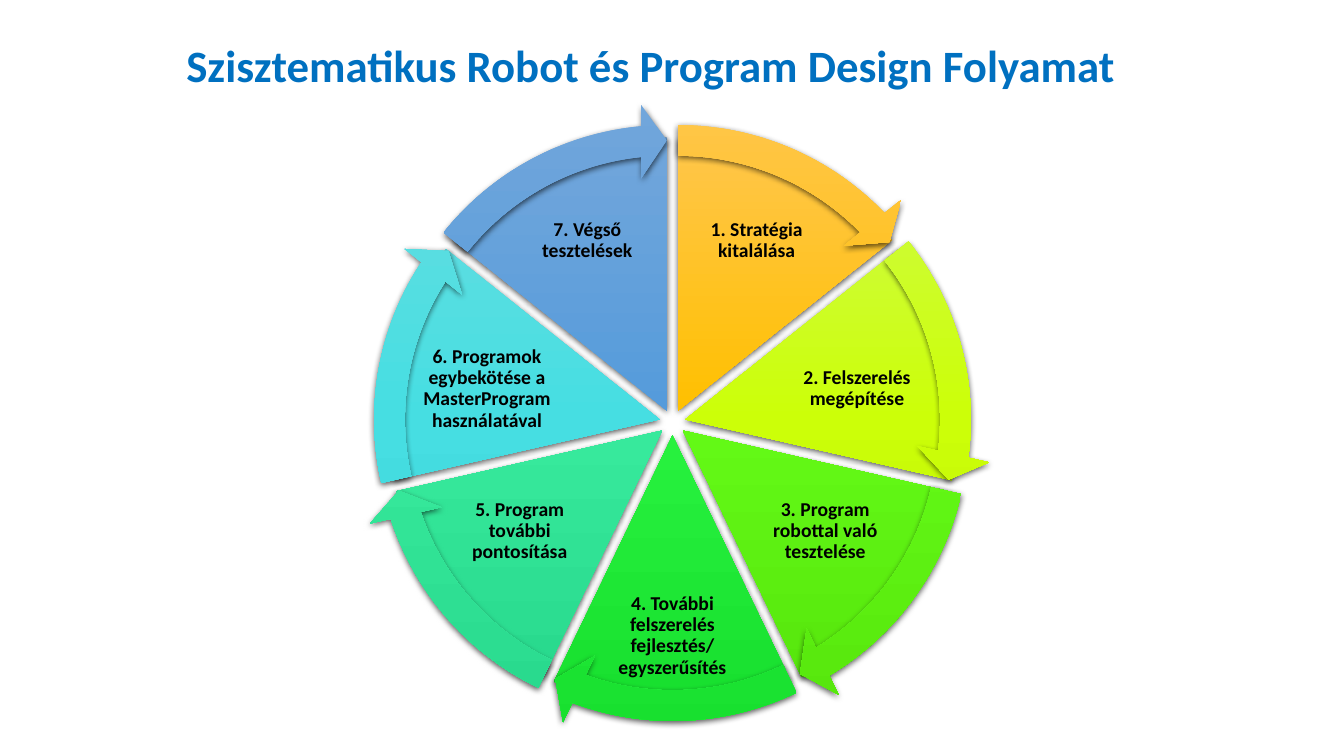
"""Build a slide with a seven-step robot design cycle."""
from copy import deepcopy
from math import cos, pi, sin

from lxml.etree import SubElement
from pptx import Presentation
from pptx.dml.color import RGBColor
from pptx.enum.shapes import MSO_SHAPE as SHAPE
from pptx.enum.text import MSO_ANCHOR as ANCHOR, MSO_AUTO_SIZE as AUTO, PP_ALIGN as ALIGN
from pptx.oxml.ns import qn
from pptx.util import Inches, Pt

BLACK = RGBColor(0x00, 0x00, 0x00)
BLUE = RGBColor(0x00, 0x70, 0xC0)
GRADIENTS = [[RGBColor.from_string(c) for c in row.split()] for row in (
    "FFC64B FFC000 E3AB00",
    "CEFA4C CCFF08 B7E505",
    "7AF350 63F916 56E50C",
    "56EC62 27F13E 18E02F",
    "5EE6A6 37E99C 27D88C",
    "67DDE0 46DEE2 36CDD1",
    "71A6DB 559BDB 448ACA",
)]

TITLE = "Szisztematikus Robot és Program Design Folyamat"
TITLE_BOX = (1.75, 0.33, 9.5, 0.64)
STEPS = [
    ("1. Stratégia kitalálása", (6.86, 1.87, 1.29, 1.03)),
    ("2. Felszerelés megépítése", (7.76, 3.41, 1.48, 0.9)),
    ("3. Program robottal való tesztelése", (7.54, 4.77, 1.29, 1)),
    ("4. További felszerelés fejlesztés/ egyszerűsítés", (6.04, 5.86, 1.26, 0.9)),
    ("5. Program további pontosítása", (4.51, 4.77, 1.29, 1)),
    ("6. Programok egybekötése a MasterProgram használatával", (4.09, 3.41, 1.48, 0.9)),
    ("7. Végső tesztelések", (5.18, 1.87, 1.29, 1.03)),
]
TITLE_FONT = {"name": "Calibri", "size": Pt(32), "bold": True}
STEP_FONT = {"name": "Calibri", "size": Pt(14), "bold": True}
STEP_FRAME = {"word_wrap": True, "vertical_anchor": ANCHOR.MIDDLE,
              **{f"margin_{side}": Inches(0.02) for side in ("left", "top", "right", "bottom")}}
STEP_PARAGRAPH = {"alignment": ALIGN.CENTER, "line_spacing": 0.9, "space_after": Pt(4.9)}

CENTER_X, CENTER_Y, OFFSET = 6.67, 4.19, 0.13
PIE_SIZE, ARROW_SIZE = 5.42, 6.09
FULL_TURN, TOP = 216, 162
SWEEP = FULL_TURN / len(STEPS)
ARROW_WIDTH, HEAD_ANGLE, HEAD_WIDTH = 0.05, 3.28, 0.06


def set_all(obj, values):
    for name, value in values.items():
        setattr(obj, name, value)


def add_text(shapes, text, box, font, color, frame, paragraph):
    tf = shapes.add_textbox(*map(Inches, box)).text_frame
    set_all(tf, frame)
    p = tf.paragraphs[0]
    set_all(p, paragraph)
    r = p.add_run()
    r.text = text
    set_all(r.font, font)
    r.font.color.rgb = color


def add_sector(shapes, kind, size, index, adjustments):
    middle = 2 * pi * (index + 0.5) / len(STEPS) - pi / 2
    left = CENTER_X + OFFSET * cos(middle) - size / 2
    top = CENTER_Y + OFFSET * sin(middle) - size / 2
    sp = shapes.add_shape(kind, *map(Inches, (left, top, size, size)))
    for i, value in enumerate(adjustments):
        sp.adjustments[i] = value
    sp.fill.gradient()
    sp.fill.gradient_angle = 270
    gs = next(sp.element.spPr.iter(qn("a:gs")))
    gs.addnext(deepcopy(gs))
    for stop, position, color in zip(sp.fill.gradient_stops, (0, 0.5, 1), GRADIENTS[index]):
        stop.position = position
        stop.color.rgb = color
    sp.line.fill.background()
    sp.shadow.inherit = False
    effects = sp.element.spPr.find(qn("a:effectLst"))
    shadow = SubElement(effects, qn("a:outerShdw"), blurRad=str(Pt(4.5)), dist=str(Pt(1.5)),
                        dir="5400000", algn="ctr", rotWithShape="0")
    color = SubElement(shadow, qn("a:srgbClr"), val=str(BLACK))
    SubElement(color, qn("a:alpha"), val="63000")


def main():
    prs = Presentation()
    prs.slide_width, prs.slide_height = Inches(13.33), Inches(7.5)
    s = prs.slides.add_slide(prs.slide_layouts[6])
    cycle = s.shapes.add_group_shape().shapes
    angles = [((TOP + i * SWEEP) % FULL_TURN, (TOP + (i + 1) * SWEEP) % FULL_TURN)
              for i in range(len(STEPS))]
    for i, (text, box) in enumerate(STEPS):
        add_sector(cycle, SHAPE.PIE, PIE_SIZE, i, angles[i])
        add_text(cycle, text, box, STEP_FONT, BLACK, STEP_FRAME, STEP_PARAGRAPH)
    for i, (start, end) in enumerate(angles):
        tip = (end - HEAD_ANGLE) % FULL_TURN
        add_sector(cycle, SHAPE.CIRCULAR_ARROW, ARROW_SIZE, i,
                   (ARROW_WIDTH, HEAD_ANGLE, tip, start, HEAD_WIDTH))
    add_text(s.shapes, TITLE, TITLE_BOX, TITLE_FONT, BLUE,
             {"word_wrap": True, "auto_size": AUTO.SHAPE_TO_FIT_TEXT}, {})
    prs.save("out.pptx")


if __name__ == "__main__":
    main()
